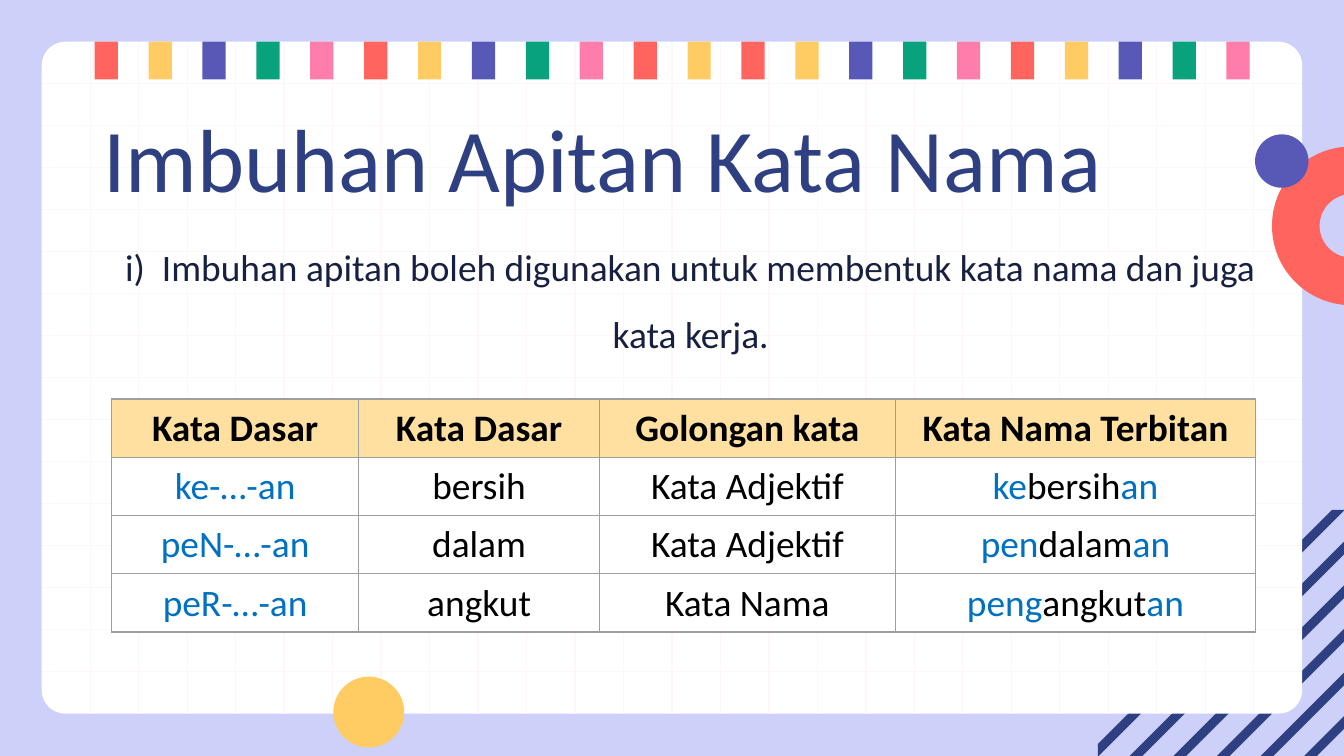
from math import cos, radians, sin

from lxml.etree import SubElement
from pptx import Presentation
from pptx.dml.color import RGBColor
from pptx.enum.shapes import MSO_CONNECTOR as Connector, MSO_SHAPE as Shape
from pptx.enum.text import MSO_ANCHOR as Anchor, PP_ALIGN as Align
from pptx.oxml.ns import qn
from pptx.util import Cm, Pt

FONT = "Calibri"
WIDTH, HEIGHT = 25.4, 14.29
NAVY, RED, YELLOW = "2E4081", "FF645E", "FFCC63"
PURPLE, GREEN, PINK = "5859B6", "08A37C", "FF7DAB"
BLACK, BLUE, WHITE = "000000", "0070C0", "FFFFFF"

CARD_EDGE, CARD_WIDTH, CARD_HEIGHT = 0.79, 23.82, 12.7
GRID_COLUMNS, GRID_ROWS = 26, 16

FIVE_FLAGS = [RED, YELLOW, PURPLE, GREEN, PINK]
FLAGS = FIVE_FLAGS * 2 + [RED, YELLOW] + FIVE_FLAGS * 2

COLUMN_WIDTHS = [4.67, 4.55, 5.59, 6.81]
AFFIX_COLUMNS = (0, 3)
# Bars separate prefix, root and suffix
ROWS = [
    ["Kata Dasar", "Kata Dasar", "Golongan kata", "Kata Nama Terbitan"],
    ["ke-…-an", "bersih", "Kata Adjektif", "ke|bersih|an"],
    ["peN-…-an", "dalam", "Kata Adjektif", "pen|dalam|an"],
    ["peR-…-an", "angkut", "Kata Nama", "peng|angkut|an"],
]


def paint(fill, color):
    fill.solid()
    fill.fore_color.rgb = RGBColor.from_string(color)


def finish(shape, color):
    paint(shape.fill, color)
    shape.line.fill.background()
    shape.shadow.inherit = False
    return shape


def add_block(slide, kind, left, top, width, height, color):
    shape = slide.shapes.add_shape(kind, Cm(left), Cm(top), Cm(width), Cm(height))
    return finish(shape, color)


def add_polygon(slide, points, color):
    corners = [(Cm(x), Cm(y)) for x, y in points]
    builder = slide.shapes.build_freeform(*corners[0])
    builder.add_line_segments(corners[1:], close=True)
    return finish(builder.convert_to_shape(), color)


def add_line(slide, x1, y1, x2, y2):
    line = slide.shapes.add_connector(
        Connector.STRAIGHT, Cm(x1), Cm(y1), Cm(x2), Cm(y2))
    line.line.color.rgb = RGBColor.from_string("FFF7F7")
    line.line.width = Pt(0.75)
    SubElement(line._element.spPr, qn("a:effectLst"))


def style_font(font, size, color, bold=False):
    font.name = FONT
    font.size = Pt(size)
    font.bold = bold
    font.color.rgb = RGBColor.from_string(color)


def add_text(slide, text, left, top, width, height, size, color):
    box = slide.shapes.add_textbox(Cm(left), Cm(top), Cm(width), Cm(height))
    frame = box.text_frame
    frame.word_wrap = True
    frame.margin_left = frame.margin_right = Cm(0.25)
    frame.margin_top = frame.margin_bottom = Cm(0.25)
    frame.text = text
    paragraph = frame.paragraphs[0]
    style_font(paragraph.runs[0].font, size, color)
    return paragraph


def add_corner_stripes(slide):
    side = 4.65

    def stripe_ends(distance):
        """Both ends of a diagonal, clipped to the corner square."""
        reach = min(distance, side)
        rest = distance - reach
        return ((WIDTH - rest, HEIGHT - reach), (WIDTH - reach, HEIGHT - rest))

    for index in range(7):
        outer = 0.75 + index * 0.825
        inner = outer - 0.24
        outer_right, outer_left = stripe_ends(outer)
        inner_right, inner_left = stripe_ends(inner)
        points = [outer_right, outer_left, inner_left, inner_right]
        if inner < side < outer:
            points.insert(2, (WIDTH - side, HEIGHT))
            points.append((WIDTH, HEIGHT - side))
        add_polygon(slide, points, NAVY)


def add_card(slide):
    card = add_block(slide, Shape.ROUNDED_RECTANGLE, CARD_EDGE, CARD_EDGE,
                     CARD_WIDTH, CARD_HEIGHT, WHITE)
    card.adjustments[0] = 0.035
    right, bottom = CARD_EDGE + CARD_WIDTH, CARD_EDGE + CARD_HEIGHT
    for row in range(1, GRID_ROWS):
        y = CARD_EDGE + row * CARD_HEIGHT / GRID_ROWS
        add_line(slide, CARD_EDGE, y, right, y)
    for column in range(1, GRID_COLUMNS):
        x = CARD_EDGE + column * CARD_WIDTH / GRID_COLUMNS
        add_line(slide, x, CARD_EDGE, x, bottom)


def add_flags(slide):
    first, last = 1.79, 23.18
    gap = (last - first) / (len(FLAGS) - 1)
    for index, color in enumerate(FLAGS):
        add_block(slide, Shape.RECTANGLE, first + index * gap, 0.79, 0.44, 0.71, color)


def add_half_ring(slide):
    def arc(radius, angles):
        return [(25.54 + radius * cos(radians(angle)),
                 4.27 + radius * sin(radians(angle))) for angle in angles]

    points = arc(1.5, range(90, 271, 3)) + arc(0.6, range(270, 89, -3))
    add_polygon(slide, points, RED)


def set_borders(cell):
    properties = cell._tc.get_or_add_tcPr()
    for position, side in enumerate(("a:lnL", "a:lnR", "a:lnT", "a:lnB")):
        line = properties.makeelement(qn(side), {"w": str(Pt(0.75))})
        fill = SubElement(line, qn("a:solidFill"))
        SubElement(fill, qn("a:srgbClr"), val="9E9E9E")
        properties.insert(position, line)


def fill_cell(cell, text, is_header, has_affix):
    paint(cell.fill, "FFE0A1" if is_header else WHITE)
    set_borders(cell)
    paragraph = cell.text_frame.paragraphs[0]
    paragraph.alignment = Align.CENTER
    for index, part in enumerate(text.split("|")):
        run = paragraph.add_run()
        run.text = part
        is_affix = has_affix and not is_header and index % 2 == 0
        style_font(run.font, 20, BLUE if is_affix else BLACK, is_header)


def add_word_table(slide):
    row_height = 1.1
    frame = slide.shapes.add_table(
        len(ROWS), len(COLUMN_WIDTHS), Cm(2.11), Cm(7.54),
        Cm(sum(COLUMN_WIDTHS)), Cm(row_height * len(ROWS)))
    table = frame.table
    table.horz_banding = False
    for column, width in zip(table.columns, COLUMN_WIDTHS):
        column.width = Cm(width)
    for row, texts in enumerate(ROWS):
        for column, text in enumerate(texts):
            fill_cell(table.cell(row, column), text, row == 0, column in AFFIX_COLUMNS)


def main():
    presentation = Presentation()
    presentation.slide_width = Cm(WIDTH)
    presentation.slide_height = Cm(HEIGHT)
    slide = presentation.slides.add_slide(presentation.slide_layouts[6])
    paint(slide.background.fill, "CDD1F9")

    # Decoration
    add_corner_stripes(slide)
    add_card(slide)
    add_flags(slide)
    add_half_ring(slide)
    add_block(slide, Shape.OVAL, 6.3, 12.79, 1.34, 1.34, YELLOW)
    add_block(slide, Shape.OVAL, 23.72, 2.54, 1.01, 1.01, PURPLE)

    # Title and rule
    add_text(slide, "Imbuhan Apitan Kata Nama", 1.7, 1.7, 21.41, 1.6, 48, NAVY)
    rule = add_text(
        slide,
        "i)  Imbuhan apitan boleh digunakan untuk membentuk kata nama dan juga kata kerja.",
        1.5, 3.94, 22.73, 8.99, 20, "172040")
    rule.alignment = Align.CENTER
    rule.line_spacing = 1.5
    rule._p.get_or_add_pPr().set("marL", str(Cm(0.38)))

    # Examples
    add_word_table(slide)
    presentation.save("out.pptx")


if __name__ == "__main__":
    main()
